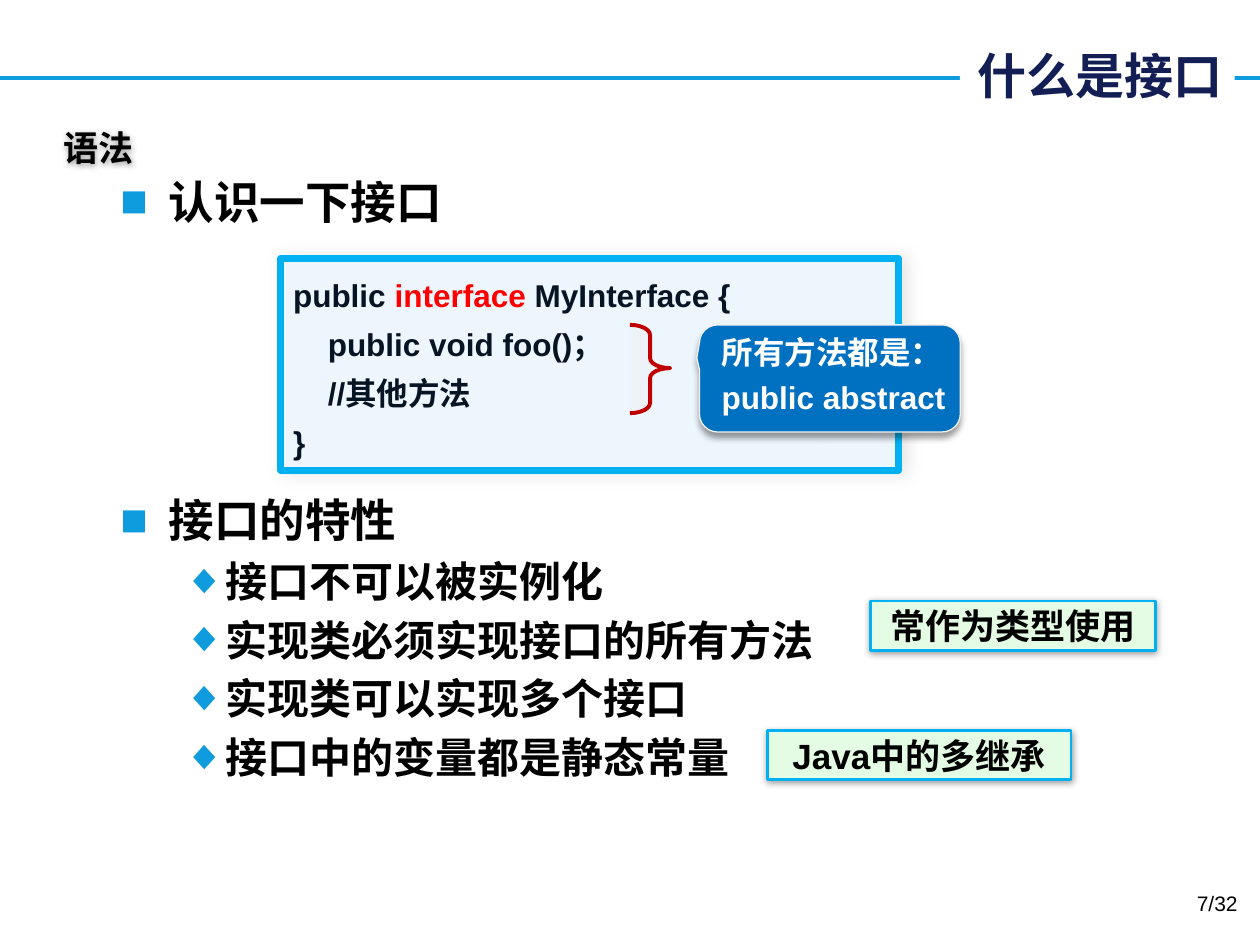
"""Build a slide that explains what an interface is."""
from dataclasses import dataclass

from lxml import etree
from pptx import Presentation
from pptx.dml.color import RGBColor
from pptx.enum.shapes import MSO_CONNECTOR, MSO_SHAPE
from pptx.enum.text import MSO_ANCHOR, PP_ALIGN
from pptx.oxml.ns import qn
from pptx.util import Cm, Pt

ROUND = MSO_SHAPE.ROUNDED_RECTANGLE
CALL = MSO_SHAPE.ROUNDED_RECTANGULAR_CALLOUT
BRACE = MSO_SHAPE.RIGHT_BRACE
STRAIGHT = MSO_CONNECTOR.STRAIGHT
LEFT, RIGHT, CENTER = PP_ALIGN.LEFT, PP_ALIGN.RIGHT, PP_ALIGN.CENTER
TOP, MIDDLE, BOTTOM = MSO_ANCHOR.TOP, MSO_ANCHOR.MIDDLE, MSO_ANCHOR.BOTTOM


@dataclass(frozen=True)
class Theme:
    """Colours, fonts and type sizes."""
    latin: str = "Arial"
    asian: str = "Noto Sans CJK SC"
    blue: str = "0E9CDE"
    edge: str = "00B0F0"
    navy: str = "121E54"
    ink: str = "071424"
    black: str = "000000"
    white: str = "FFFFFF"
    red: str = "FF0000"
    brace: str = "C00000"
    blush: str = "FFDDDD"
    pale: str = "EDF5FD"
    green: str = "E4FCE4"
    deep: str = "0070C0"
    rim: str = "F2F2F2"
    title: int = 28
    head: int = 26
    item: int = 24
    tag: int = 20
    code: int = 18
    page: int = 12


@dataclass(frozen=True)
class Box:
    """Place in centimetres."""
    left: float
    top: float
    width: float
    height: float

    def cm(self) -> tuple:
        """Give the four lengths."""
        return Cm(self.left), Cm(self.top), Cm(self.width), Cm(self.height)


@dataclass(frozen=True)
class Shade:
    """Outer shadow in points, degrees and percent."""
    blur: float
    dist: float
    angle: int
    alpha: int


@dataclass(frozen=True)
class Level:
    """Bullet, indent and size of an outline level."""
    mark: str
    indent: float
    hang: float
    size: int


@dataclass(frozen=True)
class Tag:
    """Green note beside the outline."""
    text: str
    box: Box


THEME = Theme()
SOFT = Shade(4, 1, 90, 40)
HEAD = Level("■", 0.97, 0.97, THEME.head)
ITEM = Level("◆", 2.06, 0.79, THEME.item)
GAP = 4 * 1.4 * THEME.head
OUTLINE = [
    (HEAD, "认识一下接口", 0),
    (HEAD, "接口的特性", GAP),
    (ITEM, "接口不可以被实例化", 0),
    (ITEM, "实现类必须实现接口的所有方法", 0),
    (ITEM, "实现类可以实现多个接口", 0),
    (ITEM, "接口中的变量都是静态常量", 0),
]
CODE = [
    ([("public ", THEME.ink), ("interface ", THEME.red), ("MyInterface {", THEME.ink)], 0),
    ("public void foo()；", 0.7),
    ("//其他方法", 0.7),
    ("}", 0),
]
TAGS = [
    Tag("Java中的多继承", Box(15.47, 14.73, 6.12, 0.99)),
    Tag("常作为类型使用", Box(17.55, 12.12, 5.74, 0.99)),
]


def tint(hue: str) -> RGBColor:
    """Turn a hex string into a colour."""
    return RGBColor.from_string(hue)


def node(root, name: str, **attrs):
    """Add a DrawingML child."""
    return etree.SubElement(root, qn("a:" + name), {k: str(v) for k, v in attrs.items()})


def write(frame, text, *, size: int, color: str = THEME.black, bold: bool = True,
          font: str = THEME.latin, align=LEFT, pitch: float | None = None,
          before: float = 0, indent: float = 0, hang: float = 0, mark: str = "") -> None:
    """Write a paragraph, given as a string or as coloured parts."""
    para = frame.paragraphs[0]
    if para.runs:
        para = frame.add_paragraph()
    para.alignment = align
    para.space_before = Pt(before)
    if pitch:
        para.line_spacing = Pt(pitch)
    props = para._p.get_or_add_pPr()
    props.set("marL", str(Cm(indent)))
    props.set("indent", str(Cm(-hang)))
    if mark:
        node(node(props, "buClr"), "srgbClr", val=THEME.blue)
        node(props, "buFont", typeface=THEME.latin)
        node(props, "buChar", char=mark)
    for part, hue in [(text, color)] if isinstance(text, str) else text:
        run = para.add_run()
        run.text = part
        run.font.size, run.font.bold, run.font.name = Pt(size), bold, font
        run.font.color.rgb = tint(hue)
        node(run._r.get_or_add_rPr(), "ea", typeface=THEME.asian)


def cast(shape, shade: Shade | None) -> None:
    """Replace the theme shadow by the given one."""
    shape.shadow.inherit = False
    if shade:
        root = shape._element.spPr.find(qn("a:effectLst"))
        outer = node(root, "outerShdw", blurRad=Pt(shade.blur), dist=Pt(shade.dist),
                     dir=shade.angle * 60000, algn="ctr", rotWithShape=0)
        node(node(outer, "srgbClr", val=THEME.black), "alpha", val=shade.alpha * 1000)


def panel(slide, kind, box: Box, fill: str, line: str, width: float,
          adjust: tuple = (0,), shade: Shade | None = None, anchor=TOP):
    """Draw a filled preset shape."""
    shape = slide.shapes.add_shape(kind, *box.cm())
    for spot, value in enumerate(adjust):
        shape.adjustments[spot] = value
    shape.fill.solid()
    shape.fill.fore_color.rgb = tint(fill)
    shape.line.color.rgb = tint(line)
    shape.line.width = Pt(width)
    cast(shape, shade)
    shape.text_frame.vertical_anchor = anchor
    return shape


def label(slide, box: Box, wrap: bool = True, anchor=TOP):
    """Add an empty text box."""
    shape = slide.shapes.add_textbox(*box.cm())
    shape.text_frame.word_wrap = wrap
    shape.text_frame.vertical_anchor = anchor
    return shape


def header(slide) -> None:
    """Draw the rule with the title on top of it."""
    rule = slide.shapes.add_connector(STRAIGHT, 0, Cm(1.57), Cm(25.4), Cm(1.57))
    rule.line.color.rgb = tint(THEME.blue)
    rule.line.width = Pt(2.25)
    node(rule._element.spPr, "effectLst")
    title = slide.shapes.title
    title.left, title.top, title.width, title.height = Box(19.35, 0.79, 5.54, 1.45).cm()
    title.fill.solid()
    title.fill.fore_color.rgb = tint(THEME.white)
    title.text_frame.vertical_anchor = MIDDLE
    write(title.text_frame, "什么是接口", size=THEME.title, color=THEME.navy,
          font=THEME.asian, align=RIGHT)
    slide.shapes._spTree.append(title._element)


def main() -> None:
    """Build and save the slide."""
    deck = Presentation()
    deck.slide_width, deck.slide_height = Cm(25.4), Cm(19.05)
    slide = deck.slides.add_slide(deck.slide_layouts[5])
    header(slide)
    body = label(slide, Box(2.18, 3.38, 21.23, 14.3)).text_frame
    for level, text, gap in OUTLINE:
        write(body, text, size=level.size, pitch=1.2 * level.size,
              before=0.2 * level.size + gap, indent=level.indent,
              hang=level.hang, mark=level.mark)
    code = panel(slide, ROUND, Box(5.66, 5.21, 12.45, 4.27), THEME.pale, THEME.edge, 4,
                 shade=Shade(10, 3, 0, 10)).text_frame
    for text, indent in CODE:
        write(code, text, size=THEME.code, color=THEME.ink, pitch=28, indent=indent)
    note = panel(slide, CALL, Box(14.1, 6.55, 5.26, 2.16), THEME.deep, THEME.rim, 0.75,
                 (-0.51, -0.19, 0.17), Shade(4, 3, 90, 40), BOTTOM).text_frame
    note.margin_left, note.margin_right, note.margin_bottom = Cm(0.34), Cm(0.1), Cm(0.22)
    for text in ("所有方法都是：", "public abstract"):
        write(note, text, size=THEME.code, color=THEME.white, pitch=22, before=3.6)
    for tag in TAGS:
        shape = panel(slide, ROUND, tag.box, THEME.green, THEME.edge, 1.5,
                      shade=SOFT, anchor=MIDDLE)
        write(shape.text_frame, tag.text, size=THEME.tag, align=CENTER)
    topic = label(slide, Box(1.04, 2.41, 1.96, 1.12), False, MIDDLE)
    cast(topic, SOFT)
    write(topic.text_frame, "语法", size=THEME.tag, font=THEME.asian)
    brace = panel(slide, BRACE, Box(12.7, 6.55, 0.81, 1.78), THEME.blush, THEME.brace,
                  2.25, (0.25, 0.49))
    hue = brace._element.spPr.find(qn("a:solidFill")).find(qn("a:srgbClr"))
    node(hue, "alpha", val=10000)
    page = label(slide, Box(19.28, 17.83, 5.92, 1.02))
    write(page.text_frame, "7/32", size=THEME.page, bold=False, align=RIGHT)
    deck.save("out.pptx")


if __name__ == "__main__":
    main()
